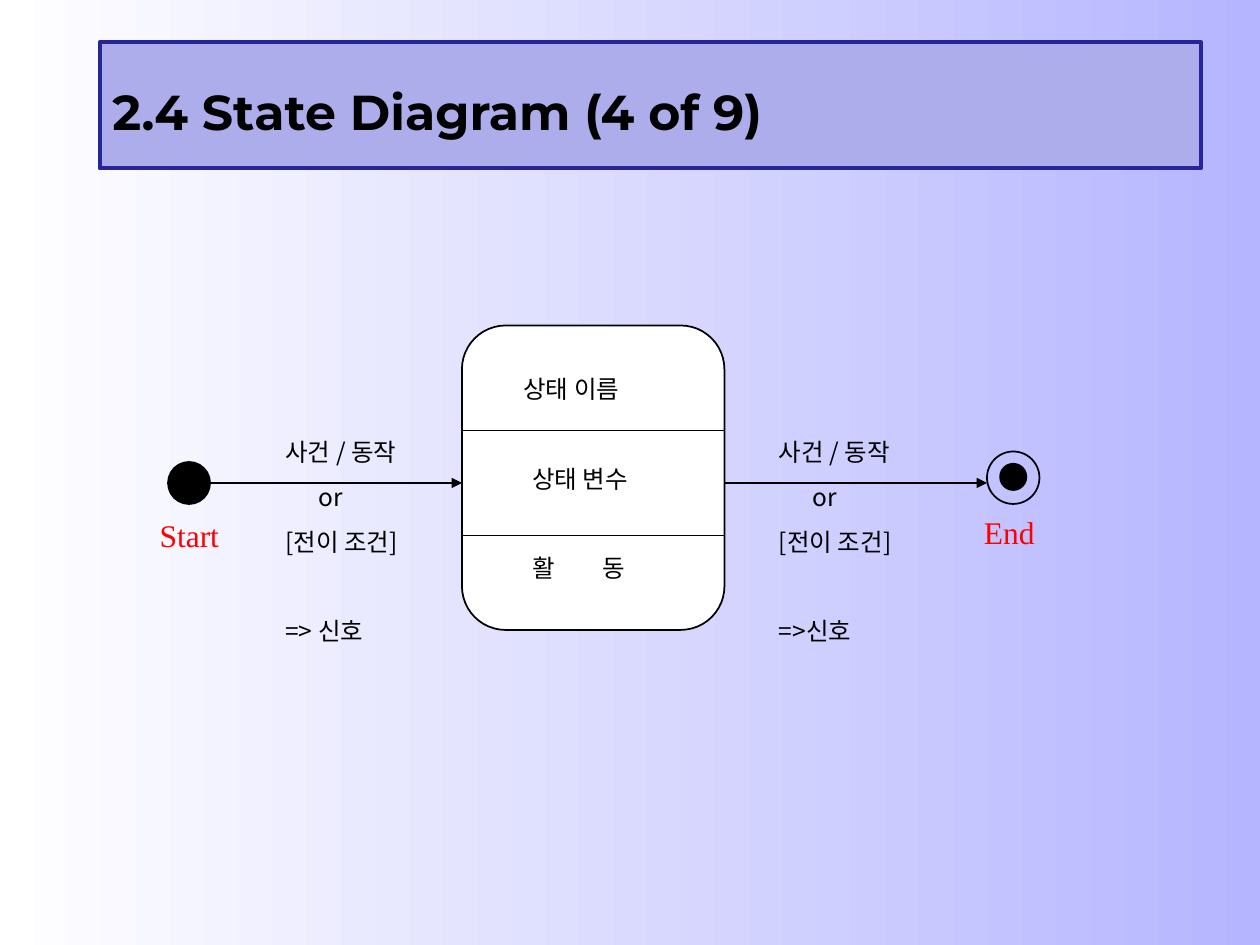
from pptx import Presentation
from pptx.dml.color import RGBColor
from pptx.enum import shapes, text
from pptx.oxml.ns import qn
from pptx.util import Pt
from lxml import etree

BLACK = RGBColor(0, 0, 0)
WHITE = RGBColor(255, 255, 255)
RED = RGBColor(255, 0, 0)
LILAC = RGBColor(0xAD, 0xAD, 0xEB)
NAVY = RGBColor(0x26, 0x26, 0x99)
SKY = RGBColor(0xB5, 0xB5, 0xFF)

HEAD = {"name": "Montserrat", "size": Pt(28), "bold": True}
BODY = {"name": "Noto Sans CJK KR", "size": Pt(14)}
MARK = {"name": "Times New Roman", "size": Pt(18)}

TITLE = "2.4 State Diagram (4 of 9)"
GAP, WIDE = 8.8, 34.4  # space before a row: next line, or one line skipped

# Rows: text, space before, tab stops
STATE = [
    ("\t상태 이름", GAP, [22]),
    ("\t상태 변수", WIDE, [27]),
    ("\t활\t동", WIDE, [27, 67]),
]
EVENT = [
    ("사건 / 동작", GAP, []),
    ("\tor", GAP, [19]),
    ("[전이 조건]", GAP, []),
]
NOTES = [
    (270, 210, 126, STATE),
    (156, 246, 96, EVENT + [("=> 신호", WIDE, [])]),
    (438, 246, 96, EVENT + [("=>신호", WIDE, [])]),
]
MARKS = [("Start", 84.2, 289.4, 48), ("End", 555.2, 287.4, 43)]

BOX = (264, 186, 150, 174)
START = (96, 264, 24, 24)
RING = (564, 258, 30, 30)
DOT = (571.5, 265, 15, 15)
FLOW = 276  # height of both arrows
RULES = (246, 306)


def style(font, form, color):
    for key, val in form.items():
        setattr(font, key, val)
    font.color.rgb = color


def put(home, kind, area, fill):
    shape = home.add_shape(kind, *map(Pt, area))
    shape.shadow.inherit = False
    if fill is None:
        shape.fill.background()
    else:
        shape.fill.solid()
        shape.fill.fore_color.rgb = fill
    shape.line.color.rgb = BLACK
    shape.line.width = Pt(1)


def rule(home, left, right, y, arrow=False):
    line = home.add_connector(shapes.MSO_CONNECTOR.STRAIGHT,
                              Pt(left), Pt(y), Pt(right), Pt(y))
    line.line.color.rgb = BLACK
    line.line.width = Pt(0.75)
    if arrow:
        etree.SubElement(line.line._get_or_add_ln(), qn("a:tailEnd"),
                         type="triangle")
    etree.SubElement(line._element.spPr, qn("a:effectLst"))


def write(para, words, form, color):
    run = para.add_run()
    run.text = words
    style(run.font, form, color)
    etree.SubElement(run._r.get_or_add_rPr(), qn("a:ea"),
                     typeface=form["name"])


def note(home, left, top, width, rows):
    frame = home.add_textbox(Pt(left), Pt(top), Pt(width), Pt(127)).text_frame
    frame.word_wrap = True
    for i, (words, before, stops) in enumerate(rows):
        para = frame.add_paragraph() if i else frame.paragraphs[0]
        para.line_spacing = Pt(16.9)
        para.space_before = Pt(before)
        if stops:
            tabs = etree.SubElement(para._p.get_or_add_pPr(), qn("a:tabLst"))
            for stop in stops:
                etree.SubElement(tabs, qn("a:tab"), pos=str(Pt(stop)),
                                 algn="l")
        write(para, words, BODY, BLACK)


def mark(home, words, left, top, width):
    frame = home.add_textbox(Pt(left), Pt(top), Pt(width), Pt(31)).text_frame
    frame.word_wrap = False
    frame.margin_left = frame.margin_right = 0
    para = frame.paragraphs[0]
    para.alignment = text.PP_ALIGN.CENTER
    para.line_spacing = 1.1
    para.space_before = Pt(4.5)
    write(para, words, MARK, RED)


def head(title):
    for key, val in zip(("left", "top", "width", "height"),
                        (57, 24.2, 629.4, 72)):
        setattr(title, key, Pt(val))
    title.fill.solid()
    title.fill.fore_color.rgb = LILAC
    title.line.color.rgb = NAVY
    title.line.width = Pt(2.25)
    frame = title.text_frame
    frame.vertical_anchor = text.MSO_ANCHOR.MIDDLE
    frame.auto_size = text.MSO_AUTO_SIZE.NONE
    para = frame.paragraphs[0]
    para.alignment = text.PP_ALIGN.LEFT
    para.line_spacing = 1.2
    write(para, TITLE, HEAD, BLACK)


def main():
    deck = Presentation()
    deck.slide_width, deck.slide_height = Pt(720), Pt(540)
    slide = deck.slides.add_slide(deck.slide_layouts[5])
    back = slide.background.fill
    back.gradient()
    back.gradient_angle = 0
    for stop, color in zip(back.gradient_stops, (WHITE, SKY)):
        stop.color.rgb = color

    home = slide.shapes
    head(home.title)
    oval = shapes.MSO_SHAPE.OVAL
    put(home, oval, START, BLACK)
    end = home.add_group_shape().shapes
    put(end, oval, RING, None)
    put(end, oval, DOT, BLACK)
    put(home, shapes.MSO_SHAPE.ROUNDED_RECTANGLE, BOX, WHITE)

    left, right = BOX[0], BOX[0] + BOX[2]
    for y in RULES:
        rule(home, left, right, y)
    rule(home, START[0] + START[2], left, FLOW, arrow=True)
    rule(home, right, RING[0], FLOW, arrow=True)

    for item in NOTES:
        note(home, *item)
    for item in MARKS:
        mark(home, *item)
    deck.save("out.pptx")


if __name__ == "__main__":
    main()
